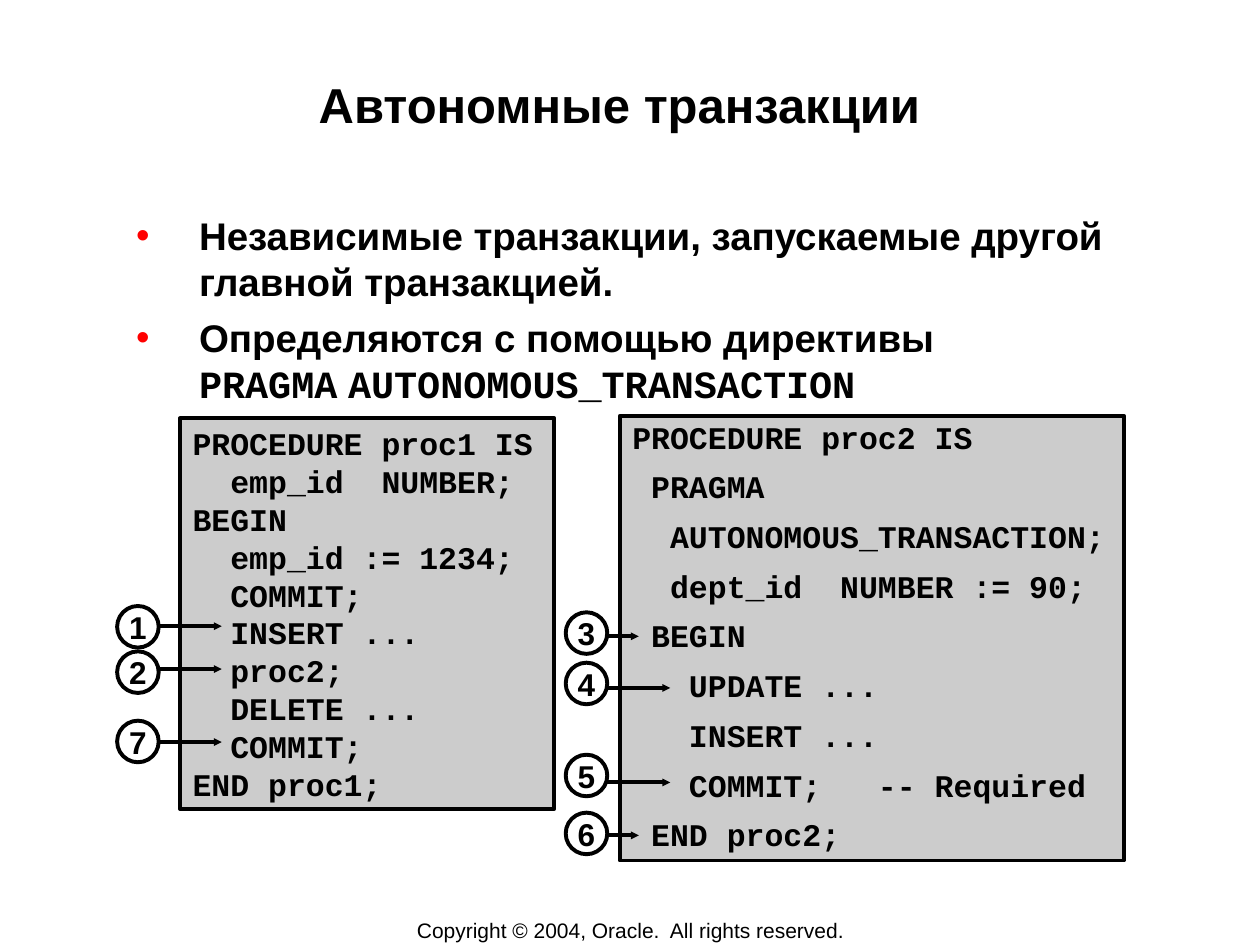
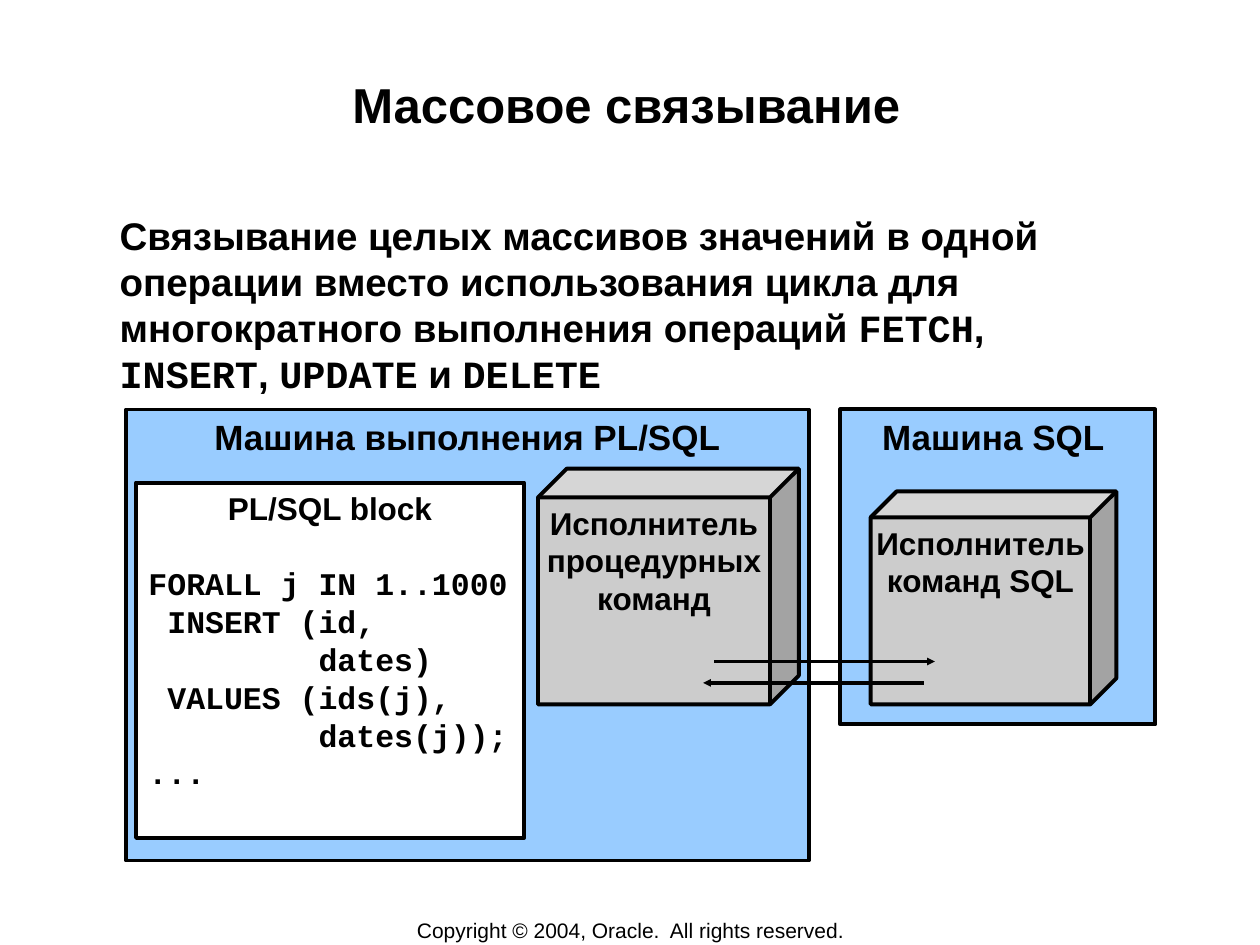
"""Build two slides on autonomous transactions and bulk binding in PL/SQL."""
from lxml import etree
from pptx import Presentation
from pptx import util as u
from pptx.dml.color import RGBColor
from pptx.enum import shapes, text
from pptx.oxml import ns

BLACK, WHITE, GRAY, SKY, RED = "000000", "FFFFFF", "CCCCCC", "99CCFF", "FF0000"
SANS, MONO = "Arial", "Courier New"
CENTER, LEFT = text.PP_ALIGN.CENTER, text.PP_ALIGN.LEFT
TOP, MIDDLE = text.MSO_ANCHOR.TOP, text.MSO_ANCHOR.MIDDLE
LINE_WIDTH = u.Pt(2.25)


def write(shape, lines, size=18, name=SANS, bold=True, align=CENTER, anchor=TOP,
          wrap=True, margins=(0.1, 0.05), gap=0):
    """Fill a shape with paragraphs; words between backticks are set as code."""
    frame = shape.text_frame
    across, down = (u.Inches(margin) for margin in margins)
    layout = {"margin_left": across, "margin_right": across, "margin_top": down,
              "margin_bottom": down, "word_wrap": wrap, "vertical_anchor": anchor,
              "auto_size": text.MSO_AUTO_SIZE.NONE}
    for key, value in layout.items():
        setattr(frame, key, value)
    for number, line in enumerate(lines):
        para = frame.add_paragraph() if number else frame.paragraphs[0]
        para.alignment = align
        para.space_before = u.Pt(gap if number else 0)
        for index, words in enumerate(line.split("`")):
            if not words:
                continue
            span = para.add_run()
            span.text = words.rstrip("\n")
            style = {"size": u.Pt(size), "bold": bold, "name": MONO if index % 2 else name}
            for key, value in style.items():
                setattr(span.font, key, value)
            span.font.color.rgb = RGBColor.from_string(BLACK)
            if words.endswith("\n"):
                para.add_line_break()
    return frame


def draw(page, kind, place, fill=None):
    """Add an outlined shape without a shadow."""
    shape = page.shapes.add_shape(kind, *map(u.Inches, place))
    shape.shadow.inherit = False
    shape.line.width = LINE_WIDTH
    shape.line.color.rgb = RGBColor.from_string(BLACK)
    if fill:
        shape.fill.solid()
        shape.fill.fore_color.rgb = RGBColor.from_string(fill)
    else:
        shape.fill.background()
    return shape


deck = Presentation()
deck.slide_width, deck.slide_height = u.Inches(10), u.Inches(7.5)
content_layout = deck.slide_layouts[1]

contents = [
    ("Автономные транзакции ",
     ["Независимые транзакции, запускаемые другой главной транзакцией.",
      "Определяются с помощью директивы\n`PRAGMA` `AUTONOMOUS_TRANSACTION"]),
    ("Массовое связывание",
     ["Связывание целых массивов значений в одной операции вместо использования цикла "
      "для многократного выполнения операций `FETCH`, `INSERT`, `UPDATE` и `DELETE"]),
]
pages, bodies = [], []
for heading, lines in contents:
    page = deck.slides.add_slide(content_layout)
    title, body = page.shapes.title, page.placeholders[1]
    for holder, place in ((title, (0.97, 0.58, 8, 0.96)), (body, (0.94, 1.67, 8.06, 1.57))):
        holder.left, holder.top, holder.width, holder.height = map(u.Inches, place)
    write(title, [heading], size=28, margins=(0.01, 0.01))
    write(body, lines, size=22, align=LEFT, margins=(0.01, 0.01), gap=5.5)
    pages.append(page)
    bodies.append(body)
transactions, binding = pages

footer = transactions.shapes.add_textbox(*map(u.Inches, (2.76, 7.28, 4.49, 0.21)))
write(footer, ["Copyright © 2004, Oracle.  All rights reserved."], size=12, bold=False,
      anchor=MIDDLE, wrap=False)
content_layout.shapes.element.append(footer.element)

for body, bulleted in zip(bodies, (True, False)):
    for para in body.text_frame.paragraphs:
        props = para._p.get_or_add_pPr()
        props.set("marL", str(u.Inches(0.63 if bulleted else 0)))
        props.set("indent", str(u.Inches(-0.5 if bulleted else 0)))
        if bulleted:
            colour = etree.SubElement(props, ns.qn("a:buClr"))
            etree.SubElement(colour, ns.qn("a:srgbClr")).set("val", RED)
            etree.SubElement(props, ns.qn("a:buChar")).set("char", "•")
        else:
            etree.SubElement(props, ns.qn("a:buNone"))

RECT, CUBE, OVAL = (shapes.MSO_SHAPE.RECTANGLE, shapes.MSO_SHAPE.CUBE,
                    shapes.MSO_SHAPE.OVAL)

proc1_code = ["PROCEDURE proc1 IS", "  emp_id  NUMBER;", "BEGIN", "  emp_id := 1234;",
              "  COMMIT;", "  INSERT ...", "  proc2;", "  DELETE ...", "  COMMIT;",
              "END proc1;"]
proc2_code = ["PROCEDURE proc2 IS", " PRAGMA", "  AUTONOMOUS_TRANSACTION;",
              "  dept_id  NUMBER := 90;", " BEGIN", "   UPDATE ...", "   INSERT ...",
              "   COMMIT;   -- Required", " END proc2;"]
proc1_box = draw(transactions, RECT, (1.43, 3.32, 2.97, 3.1), GRAY)
write(proc1_box, proc1_code, name=MONO, align=LEFT)
proc2_box = draw(transactions, RECT, (4.92, 3.3, 4, 3.53), GRAY)
proc2_frame = write(proc2_box, proc2_code, name=MONO, align=LEFT, gap=7.9)
for number, para in enumerate(proc2_frame.paragraphs):
    para.line_spacing = 0.95 if number else 0.9

arrows = []
steps = [
    (1, 0.93, 4.81, 4.97, 0.5), (2, 0.93, 5.17, 5.31, 0.5), (7, 0.93, 5.72, 5.89, 0.5),
    (3, 4.49, 4.86, 5.05, 0.25), (4, 4.49, 5.26, 5.46, 0.5),
    (5, 4.49, 5.99, 6.21, 0.5), (6, 4.49, 6.45, 6.63, 0.25),
]
for step, left, top, arrow_y, length in steps:
    circle = draw(transactions, OVAL, (left, top, 0.33, 0.33))
    write(circle, [str(step)], anchor=MIDDLE, wrap=False)
    start = left + 0.33
    arrows.append((transactions, start, start + length, arrow_y))

engines = [("Машина SQL ", (6.67, 3.25, 2.5, 2.5)),
           ("Машина выполнения PL/SQL", (1, 3.25, 5.42, 3.58))]
for label, place in engines:
    write(draw(binding, RECT, place, SKY), [label], size=20, wrap=False)

executors = [("Исполнитель команд SQL", (6.91, 3.9, 1.95, 1.69)),
             ("Исполнитель процедурных команд", (4.27, 3.72, 2.07, 1.87))]
for label, place in executors:
    cube = draw(binding, CUBE, place, GRAY)
    cube.adjustments[0] = 0.122
    write(cube, [label], margins=(0.02, 0.05))

block_code = ["PL/SQL block", "`FORALL j IN 1..1000", "` INSERT (id,", "`         dates)",
              "` VALUES (ids(j),", "`         dates(j));", "`..."]
block_box = draw(binding, RECT, (1.08, 3.83, 3.08, 2.82), WHITE)
block_frame = write(block_box, block_code, align=LEFT)
block_frame.paragraphs[0].alignment = CENTER
block_frame.paragraphs[1].space_before = u.Pt(21.6)

arrows += [(binding, 5.67, 7.42, 5.25), (binding, 7.33, 5.58, 5.42)]
for page, start, end, height in arrows:
    arrow = page.shapes.add_connector(shapes.MSO_CONNECTOR.STRAIGHT,
                                      *map(u.Inches, (start, height, end, height)))
    arrow.line.width = LINE_WIDTH
    arrow.line.color.rgb = RGBColor.from_string(BLACK)
    head = etree.SubElement(arrow.line._get_or_add_ln(), ns.qn("a:tailEnd"))
    for key, value in {"type": "triangle", "w": "sm", "len": "sm"}.items():
        head.set(key, value)
    etree.SubElement(arrow.element.spPr, ns.qn("a:effectLst"))

deck.save("out.pptx")
